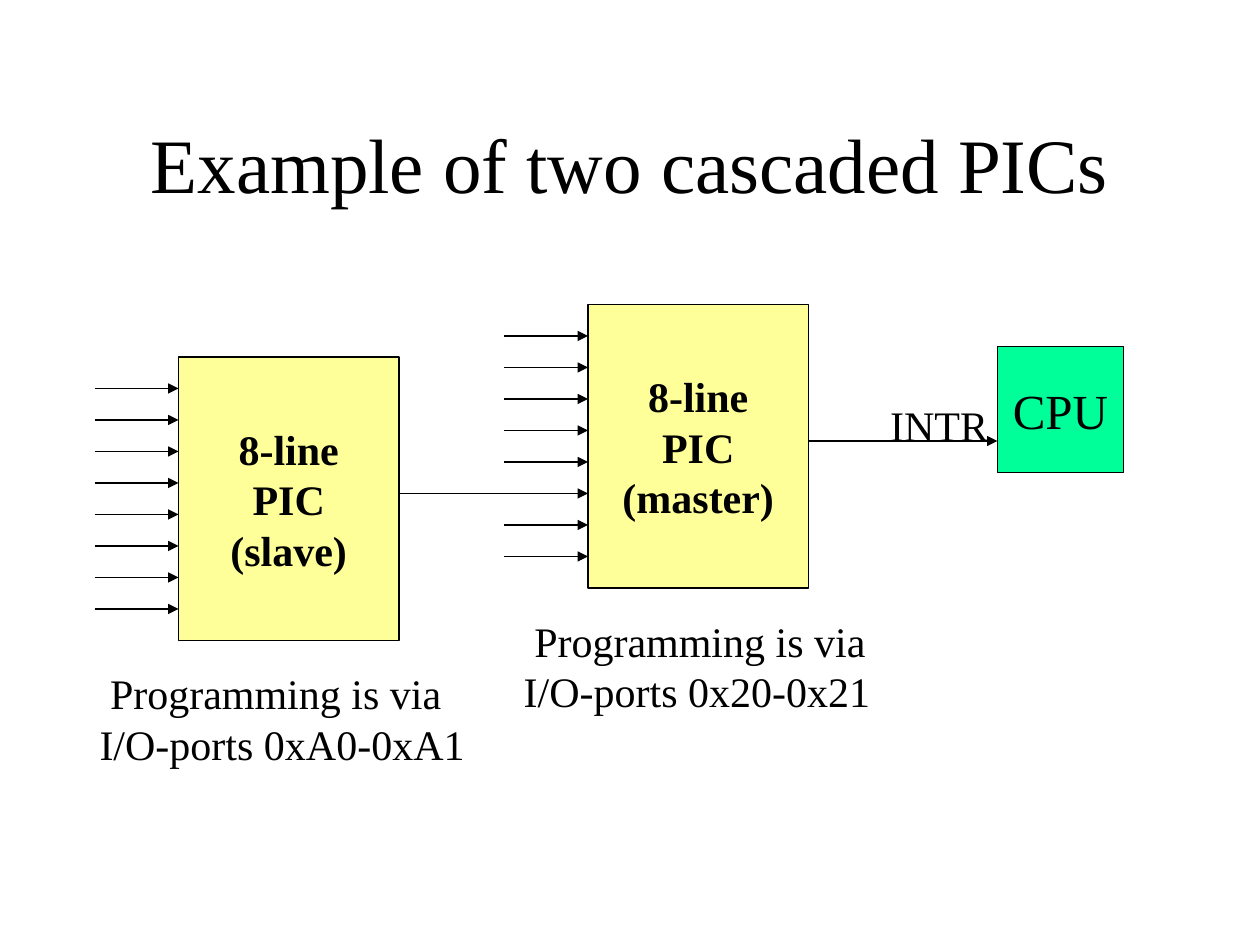
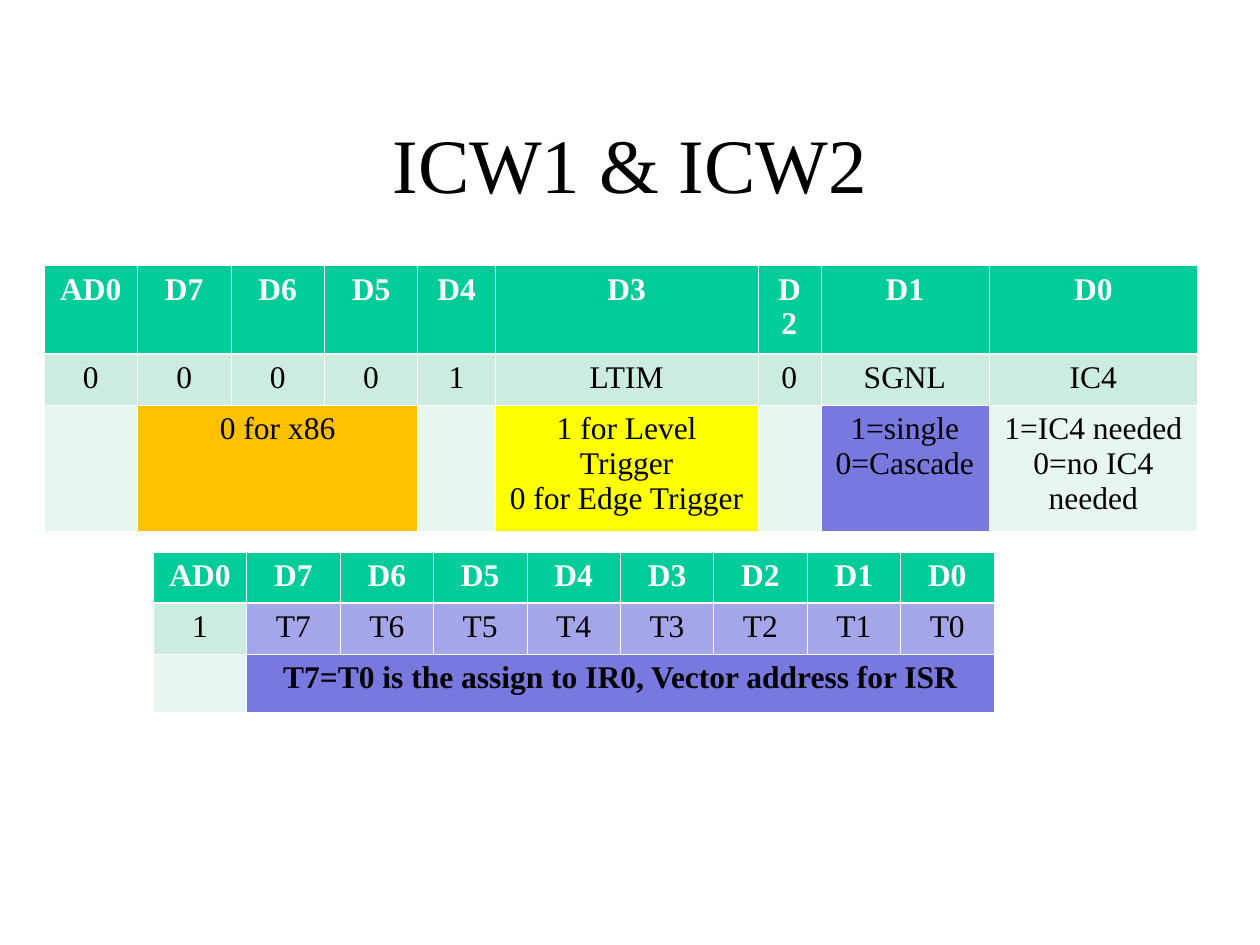
from dataclasses import dataclass

from lxml import etree
from pptx import Presentation
from pptx.dml.color import RGBColor
from pptx.enum.shapes import MSO_CONNECTOR, MSO_SHAPE
from pptx.enum.text import MSO_ANCHOR, PP_ALIGN
from pptx.oxml.ns import qn
from pptx.util import Pt

PX = 7620  # 120 px to the inch
LEFT, CENTER = PP_ALIGN.LEFT, PP_ALIGN.CENTER
MIDDLE = MSO_ANCHOR.MIDDLE
RECT, STRAIGHT = MSO_SHAPE.RECTANGLE, MSO_CONNECTOR.STRAIGHT


@dataclass(frozen=True)
class Theme:
    font: str = "Times New Roman"
    black: str = "000000"
    white: str = "FFFFFF"
    pic: str = "FFFF99"
    cpu: str = "00FF99"
    header: str = "00CC99"
    band: str = "CBECDE"
    pale: str = "E7F6EF"
    orange: str = "FFC000"
    yellow: str = "FFFF00"
    violet: str = "7878DE"
    lilac: str = "A5A5E9"
    title_size: int = 44
    cpu_size: int = 28
    label_size: int = 24
    table_size: int = 18
    line: float = 0.75
    thin: float = 0.45
    thick: float = 1.47


T = Theme()


def write(tf, text, size, align=CENTER, color=T.black, bold=False):
    """Fill a text frame with one paragraph per line of text."""
    for i, line in enumerate(text.split("\n")):
        p = tf.add_paragraph() if i else tf.paragraphs[0]
        p.alignment = align
        r = p.add_run()
        r.text = line
        r.font.name, r.font.size, r.font.bold = T.font, Pt(size), bold
        r.font.color.rgb = RGBColor.from_string(color)


def add_arrow(s, x1, x2, y):
    c = s.shapes.add_connector(STRAIGHT, x1 * PX, y * PX, x2 * PX, y * PX)
    c.line.color.rgb = RGBColor.from_string(T.black)
    c.line.width = Pt(T.line)
    etree.SubElement(c.line._get_or_add_ln(), qn("a:tailEnd"), type="triangle")
    etree.SubElement(c._element.spPr, qn("a:effectLst"))


prs = Presentation()
prs.slide_width, prs.slide_height = 1200 * PX, 900 * PX

slides = []
for title in ("Example of two cascaded PICs", "ICW1 & ICW2"):
    s = prs.slides.add_slide(prs.slide_layouts[5])
    sp = s.shapes.title
    sp.left, sp.top, sp.width, sp.height = 90 * PX, 80 * PX, 1020 * PX, 150 * PX
    sp.text_frame.vertical_anchor = MIDDLE
    write(sp.text_frame, title, T.title_size)
    slides.append(s)
diagram, words = slides

# Cascaded controllers
SLAVE_X, SLAVE_Y, MASTER_X, MASTER_Y = 170, 340, 560, 290
PIC_W, PIC_H, CPU_X = 210, 270, 950
PITCH, INPUT_LEN, CASCADE_INPUT = 30, 80, 5

for text, x, y, w, h, fill, size, bold in (
    ("8-line\nPIC\n(slave)", SLAVE_X, SLAVE_Y, PIC_W, PIC_H, T.pic, T.label_size, True),
    ("8-line\nPIC\n(master)", MASTER_X, MASTER_Y, PIC_W, PIC_H, T.pic, T.label_size, True),
    ("CPU", CPU_X, 330, 120, 120, T.cpu, T.cpu_size, False),
):
    sp = diagram.shapes.add_shape(RECT, x * PX, y * PX, w * PX, h * PX)
    sp.shadow.inherit = False
    sp.fill.solid()
    sp.fill.fore_color.rgb = RGBColor.from_string(fill)
    sp.line.color.rgb = RGBColor.from_string(T.black)
    sp.line.width = Pt(T.line)
    sp.text_frame.vertical_anchor = MIDDLE
    sp.text_frame.word_wrap = False
    write(sp.text_frame, text, size, bold=bold)

for i in range(8):
    add_arrow(diagram, SLAVE_X - INPUT_LEN, SLAVE_X, SLAVE_Y + PITCH * (i + 1))
    start = SLAVE_X + PIC_W if i == CASCADE_INPUT else MASTER_X - INPUT_LEN
    add_arrow(diagram, start, MASTER_X, MASTER_Y + PITCH * (i + 1))
add_arrow(diagram, MASTER_X + PIC_W, CPU_X, 420)

for text, x, y, w, h, indent in (
    ("INTR", 836, 375, 117, 60, 0),
    ("Programming is via\nI/O-ports 0xA0-0xA1", 83, 630, 372, 108, 10),
    ("Programming is via\nI/O-ports 0x20-0x21", 487, 580, 354, 108, 10),
):
    tf = diagram.shapes.add_textbox(x * PX, y * PX, w * PX, h * PX).text_frame
    tf.word_wrap = False
    write(tf, text, T.label_size, LEFT)
    tf.paragraphs[0]._p.get_or_add_pPr().set("marL", str(indent * PX))

# Initialization command words
BITS = ["AD0", "D7", "D6", "D5", "D4", "D3", "D2", "D1", "D0"]
ROW_FILLS = (T.header, T.band, T.pale)

icw1 = dict(
    at=(42, 253),
    cols=[89] * 4 + [74, 250, 60, 160, 199],
    heights=[84, 49, 120],
    rows=[
        BITS,
        ["0", "0", "0", "0", "1", "LTIM", "0", "SGNL", "IC4"],
        ["", "0 for x86", "", "", "", "1 for Level Trigger\n0 for Edge Trigger", "",
         "1=single\n0=Cascade", "1=IC4 needed\n0=no IC4 needed"],
    ],
    fills={(2, 1): T.orange, (2, 5): T.yellow, (2, 7): T.violet},
    merge_to=3,
    bold_rows=(0,),
)
icw2 = dict(
    at=(146, 526),
    cols=[89] * 9,
    heights=[48, 49, 55],
    rows=[
        BITS,
        ["1"] + [f"T{n}" for n in range(7, -1, -1)],
        ["", "T7=T0 is the assign to IR0, Vector address for ISR"] + [""] * 7,
    ],
    fills={(2, 1): T.violet} | {(1, c): T.lilac for c in range(1, 9)},
    merge_to=8,
    bold_rows=(0, 2),
)

for word in (icw1, icw2):
    x, y = word["at"]
    cols, heights = word["cols"], word["heights"]
    tbl = words.shapes.add_table(len(heights), len(cols), x * PX, y * PX,
                                 sum(cols) * PX, sum(heights) * PX).table
    tbl.first_row = tbl.horz_banding = False
    for col, w in zip(tbl.columns, cols):
        col.width = w * PX
    for row, h in zip(tbl.rows, heights):
        row.height = h * PX
    tbl.cell(2, 1).merge(tbl.cell(2, word["merge_to"]))
    for i, texts in enumerate(word["rows"]):
        for j, text in enumerate(texts):
            cell = tbl.cell(i, j)
            tcPr = cell._tc.get_or_add_tcPr()
            for side in "LRTB":
                heavy = (i, side) in ((0, "B"), (1, "T"))
                width = Pt(T.thick if heavy else T.thin)
                ln = etree.SubElement(tcPr, qn(f"a:ln{side}"), w=str(width))
                fill = etree.SubElement(ln, qn("a:solidFill"))
                etree.SubElement(fill, qn("a:srgbClr"), val=T.white)
            cell.fill.solid()
            cell.fill.fore_color.rgb = RGBColor.from_string(
                word["fills"].get((i, j), ROW_FILLS[i]))
            if text:
                write(cell.text_frame, text, T.table_size,
                      color=T.black if i else T.white, bold=i in word["bold_rows"])

prs.save("out.pptx")
